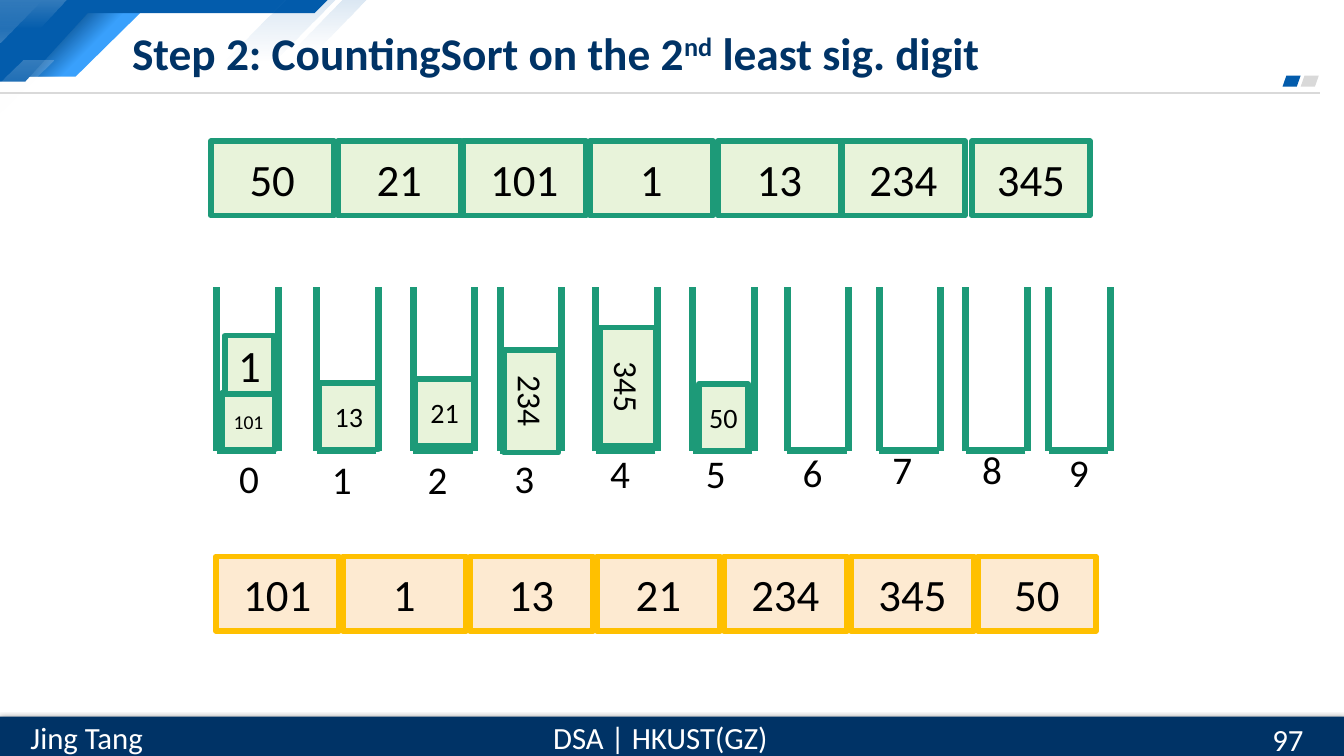
from lxml import etree
from pptx import Presentation
from pptx.dml.color import RGBColor
from pptx.enum.shapes import MSO_CONNECTOR, MSO_SHAPE
from pptx.enum.text import MSO_ANCHOR, MSO_AUTO_SIZE, PP_ALIGN
from pptx.oxml.ns import qn
from pptx.util import Pt

PX = 9144
FONT = "Calibri"
RECT = MSO_SHAPE.RECTANGLE
SLANT = MSO_SHAPE.PARALLELOGRAM
WEDGE = MSO_SHAPE.RIGHT_TRIANGLE
LINE = MSO_CONNECTOR.STRAIGHT
MIDDLE, TOP = MSO_ANCHOR.MIDDLE, MSO_ANCHOR.TOP
LEFT, CENTER = PP_ALIGN.LEFT, PP_ALIGN.CENTER
FIXED = MSO_AUTO_SIZE.NONE

WHITE = RGBColor(0xFF, 0xFF, 0xFF)
BLACK = RGBColor(0x00, 0x00, 0x00)
NAVY = RGBColor(0x00, 0x33, 0x66)
BLUE = RGBColor(0x03, 0x5C, 0xAC)
DEEP = RGBColor(0x02, 0x45, 0x81)
SKY = RGBColor(0x39, 0xA0, 0xFC)
GREY = RGBColor(0xD9, 0xD9, 0xD9)
GREEN = RGBColor(0x1D, 0x9A, 0x78)
MINT = RGBColor(0xE8, 0xF3, 0xDA)
GOLD = RGBColor(0xFF, 0xC0, 0x00)
PEACH = RGBColor(0xFD, 0xEA, 0xD1)

BAND = [(84, 7), (145, 7), (75, 76), (16, 76)]
HEAD = [(0, 0), (325, 0), (312, 13), (87, 13), (25, 81), (0, 81)]
GLOSS = [(0, 0), (66, 0), (39, 28), (0, 28)]
WIDE = [(284, 0), (333, 0), (272, 61), (222, 61)]
THIN = [(340, 0), (364, 0), (315, 49), (291, 49)]
EDGE = [(23, 60), (53, 60), (0, 113), (0, 83)]

INPUT = [(209, 50), (335, 21), (459, 101), (585, 1), (712, 13),
         (835, 234), (964, 345)]
OUTPUT = [(214 + 126 * i, num)
          for i, num in enumerate([101, 1, 13, 21, 234, 345, 50])]
BINS = [(215, 227, 446), (314, 319, 447), (410, 414, 447), (496, 500, 446),
        (591, 595, 441), (687, 690, 441), (781, 786, 440), (872, 875, 437),
        (958, 964, 437), (1040, 1050, 440)]
ITEMS = [(50, (693, 381, 49, 66), 20, 0), (21, (412, 376, 58, 66), 20, 0),
         (13, (317, 380, 58, 66), 20, 0), (101, (220, 390, 53, 56), 14, 0),
         (234, (476, 371, 102, 54), 24, 90), (1, (223, 333, 49, 58), 32, 0),
         (345, (564, 356, 117, 55), 24, 90)]


class Deck:
    """Hold the font, the scale and the slide being drawn."""

    def __init__(self):
        self.prs = Presentation()
        self.prs.slide_width, self.prs.slide_height = 1333 * PX, 750 * PX
        self.slide = self.prs.slides.add_slide(self.prs.slide_layouts[5])
        self.shapes = self.slide.shapes

    def fill_text(self, frame, text, size, color, align=CENTER,
                  anchor=MIDDLE):
        frame.text = text
        frame.word_wrap = True
        frame.vertical_anchor = anchor
        frame.paragraphs[0].alignment = align
        self.style(frame.paragraphs[0].runs, size, color)

    def style(self, runs, size, color, bold=False):
        for run in runs:
            run.font.name, run.font.size = FONT, Pt(size)
            run.font.color.rgb, run.font.bold = color, bold

    def plain(self, shape, fill):
        shape.shadow.inherit = False
        shape.line.fill.background()
        shape.fill.solid()
        shape.fill.fore_color.rgb = fill
        return shape

    def fade(self, shape, color, alpha, angle=270, stops=(0, 1)):
        shape.fill.gradient()
        shape.fill.gradient_angle = angle
        for stop, place in zip(shape.fill.gradient_stops, stops):
            stop.color.rgb, stop.position = color, place
        tints = shape.element.spPr.iter(qn("a:srgbClr"))
        for tint, part in zip(list(tints), (alpha, 0)):
            etree.SubElement(tint, qn("a:alpha")).set("val", str(part * 1000))

    def shape(self, kind, box, fill):
        return self.plain(
            self.shapes.add_shape(kind, *(n * PX for n in box)), fill)

    def outline(self, points, fill):
        pen = self.shapes.build_freeform(*points[0], scale=PX)
        pen.add_line_segments(points[1:], close=True)
        return self.plain(pen.convert_to_shape(), fill)

    def line(self, start, end, color, width):
        line = self.shapes.add_connector(
            LINE, *(n * PX for n in start + end))
        line.line.color.rgb, line.line.width = color, Pt(width)
        etree.SubElement(line.element.spPr, qn("a:effectLst"))

    def label(self, text, box, size, color, align=CENTER, anchor=MIDDLE):
        note = self.shapes.add_textbox(*(n * PX for n in box))
        self.fill_text(note.text_frame, text, size, color, align, anchor)
        return note

    def cell(self, num, box, size, fill=MINT, edge=GREEN, turn=0):
        cell = self.shape(RECT, box, fill)
        cell.line.color.rgb, cell.line.width = edge, Pt(4)
        cell.rotation = turn
        self.fill_text(cell.text_frame, str(num), size, BLACK)

    def row(self, cells, top, fill, edge):
        for left, num in cells:
            width = 117 if left == cells[-1][0] else 122
            self.cell(num, (left, top, width, 74), 32, fill, edge)

    def bin(self, digit, left, spot, top):
        for side in (left, left + 61):
            self.line((side, 285), (side, 447), GREEN, 5)
        self.line((left + 59, 447), (left, 447), GREEN, 5)
        note = self.label(str(digit), (spot, top, 40, 57), 28, BLACK,
                          anchor=TOP)
        note.text_frame.word_wrap = False

    def title(self, parts, box):
        title = self.shapes.title
        title.left, title.top, title.width, title.height = (
            n * PX for n in box)
        title.element.getparent().append(title.element)
        frame = title.text_frame
        self.fill_text(frame, parts[0], 32.4, NAVY, LEFT)
        frame.auto_size = FIXED
        para = frame.paragraphs[0]
        for part in parts[1:]:
            para.add_run().text = part
        self.style(para.runs, 32.4, NAVY, True)
        list(title.element.iter(qn("a:rPr")))[1].set("baseline", "30000")

    def shade(self, shape):
        glow = etree.SubElement(
            shape.element.spPr.find(qn("a:effectLst")), qn("a:outerShdw"),
            blurRad=str(Pt(4.5)), dist=str(Pt(1.5)), dir="5400000")
        tint = etree.SubElement(glow, qn("a:srgbClr"), val=str(BLACK))
        etree.SubElement(tint, qn("a:alpha"), val="63000")


def frame(deck):
    deck.outline(BAND, SKY)
    deck.fade(deck.outline(BAND, DEEP), DEEP, 100, 315, (0.29, 0.57))
    deck.outline(HEAD, BLUE)
    wedge = deck.shape(WEDGE, (0, 0, 42, 42), WHITE)
    wedge.element.spPr.xfrm.set("flipV", "1")
    deck.fade(wedge, WHITE, 20)
    for points, color, alpha in [(GLOSS, WHITE, 20), (WIDE, BLUE, 15),
                                 (THIN, BLUE, 15), (EDGE, WHITE, 20)]:
        deck.fade(deck.outline(points, color), color, alpha)
    deck.line((0, 92), (1309, 92), GREY, 1.5)
    for left, color in [(1290, GREY), (1272, BLUE)]:
        mark = deck.shape(SLANT, (left, 75, 18, 11), color)
        mark.adjustments[0] = 0.35
    deck.shade(deck.shape(RECT, (0, 711, 1333, 39), NAVY))
    deck.label("DSA | HKUST(GZ)", (536, 708, 238, 47), 22, WHITE)
    deck.label("Jing Tang", (16, 708, 140, 47), 22, WHITE)
    deck.label("97", (1252, 713, 81, 40), 22, WHITE, LEFT)


def main():
    deck = Deck()
    frame(deck)
    deck.title(["Step 2: CountingSort on the 2", "nd", " least sig. digit"],
               (121, 17, 1021, 69))
    for digit, place in enumerate(BINS):
        deck.bin(digit, *place)
    deck.row(INPUT, 140, MINT, GREEN)
    for num, box, size, turn in ITEMS:
        deck.cell(num, box, size, turn=turn)
    deck.row(OUTPUT, 552, PEACH, GOLD)
    deck.prs.save("out.pptx")


if __name__ == "__main__":
    main()
